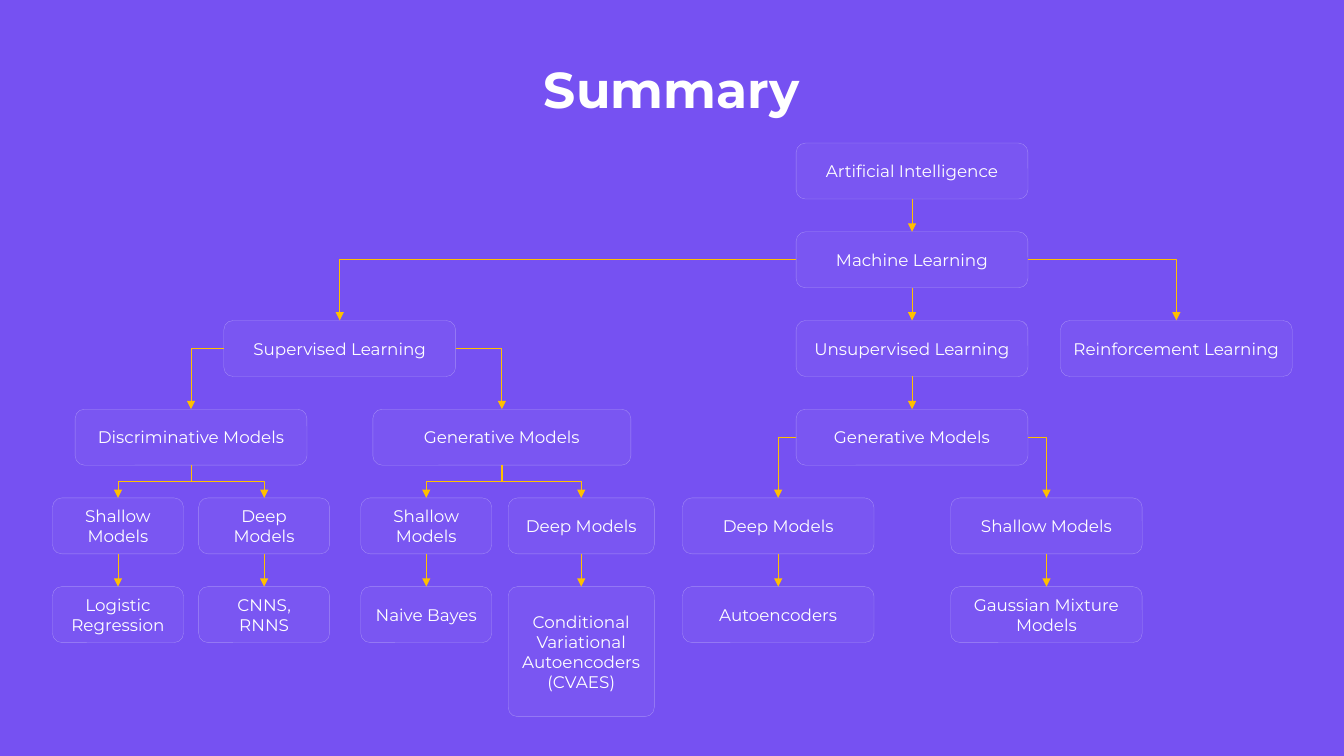
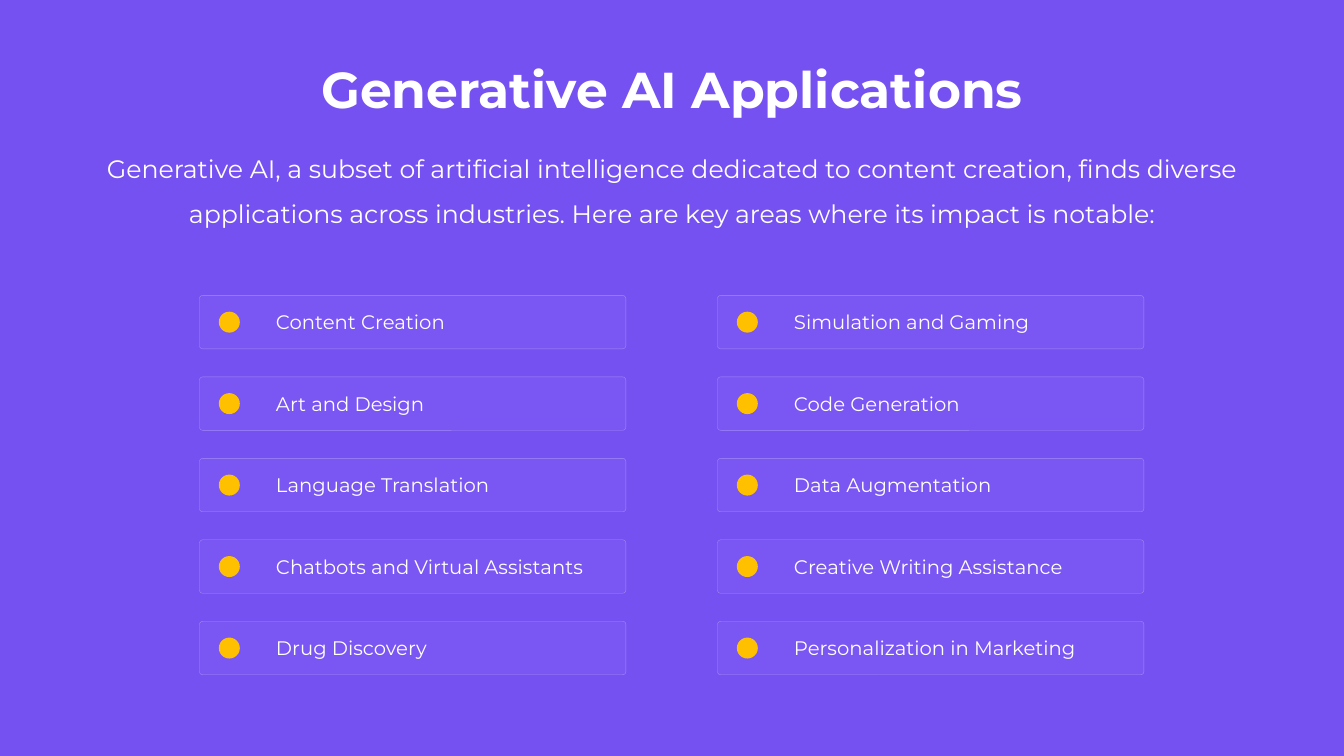
from dataclasses import dataclass

from pptx import Presentation
from pptx import util as u
from pptx.dml.color import RGBColor
from pptx.enum import shapes, text
from pptx.oxml.ns import qn
from lxml import etree


@dataclass(frozen=True)
class Theme:
    font: str = "Montserrat"
    back: RGBColor = RGBColor(0x76, 0x51, 0xF2)
    white: RGBColor = RGBColor(0xFF, 0xFF, 0xFF)
    accent: RGBColor = RGBColor(0xFF, 0xC0, 0x00)
    title: int = 36
    intro: int = 18
    item: int = 14
    node: int = 12
    fill_alpha: int = 3
    line_alpha: int = 33


@dataclass(frozen=True)
class Box:
    left: float
    top: float
    width: float
    height: float

    @property
    def center(self):
        return self.left + self.width / 2

    @property
    def middle(self):
        return self.top + self.height / 2

    @property
    def lengths(self):
        return [u.Pt(n) for n in (self.left, self.top, self.width, self.height)]


@dataclass(frozen=True)
class Node:
    label: str
    center: float
    width: float
    children: tuple = ()
    height: float = 40


THEME = Theme()
SLIDE_WIDTH, SLIDE_HEIGHT = 960, 540
TITLE_BOX = Box(0, 38.2, SLIDE_WIDTH, 51.1)
INTRO_BOX = Box(64, 95, 832.3, 69)
TREE_BOX = Box(37.5, 102.2, 886, 410)
LIST_BOX = Box(142.5, 211, 674.6, 271)
LEVEL_STEP = 63.36
TOP, LEFT, BOTTOM, RIGHT = range(4)  # connection sites of a rounded rectangle

WIDE, MEDIUM, NARROW = 165.6, 136.8, 93.6
TREE = Node("Artificial Intelligence", 614, WIDE, (
    Node("Machine Learning", 614, WIDE, (
        Node("Supervised Learning", 205.2, WIDE, (
            Node("Discriminative Models", 99, WIDE, (
                Node("Shallow Models", 46.8, NARROW, (
                    Node("Logistic Regression", 46.8, NARROW),)),
                Node("Deep Models", 151.2, NARROW, (
                    Node("CNNS, RNNS", 151.2, NARROW),)),
            )),
            Node("Generative Models", 321, 184.3, (
                Node("Shallow Models", 267, NARROW, (
                    Node("Naive Bayes", 267, NARROW),)),
                Node("Deep Models", 377.7, 104.4, (
                    Node("Conditional Variational Autoencoders (CVAES)",
                         377.7, 104.4, height=92.9),)),
            )),
        )),
        Node("Unsupervised Learning", 614, WIDE, (
            Node("Generative Models", 614, WIDE, (
                Node("Deep Models", 518.4, MEDIUM, (
                    Node("Autoencoders", 518.4, MEDIUM),)),
                Node("Shallow Models", 710, MEDIUM, (
                    Node("Gaussian Mixture Models", 710, MEDIUM),)),
            )),
        )),
        Node("Reinforcement Learning", 802.8, WIDE),
    )),
))

APPLICATIONS = (
    ("Content Creation", "Art and Design", "Language Translation",
     "Chatbots and Virtual Assistants", "Drug Discovery"),
    ("Simulation and Gaming", "Code Generation", "Data Augmentation",
     "Creative Writing Assistance", "Personalization in Marketing"),
)
INTRO = ("Generative AI, a subset of artificial intelligence dedicated to content "
         "creation, finds diverse applications across industries. Here are key areas "
         "where its impact is notable:")


def write(frame, words, size, align, anchor=text.MSO_ANCHOR.MIDDLE, bold=False):
    frame.text = words
    frame.word_wrap = True
    frame.auto_size = text.MSO_AUTO_SIZE.NONE
    frame.vertical_anchor = anchor
    para = frame.paragraphs[0]
    para.alignment = align
    for span in para.runs:
        span.font.name = THEME.font
        span.font.size = u.Pt(size)
        span.font.bold = bold
        span.font.color.rgb = THEME.white
    return para


def set_alpha(fill, percent):
    """Make a solid fill translucent, keeping the given percentage of opacity."""
    fill.solid()
    fill.fore_color.rgb = THEME.white
    return percent * 1000


def add_panel(page, box, words, size, align, radius):
    """Add a translucent rounded panel that carries its own text."""
    panel = page.shapes.add_shape(shapes.MSO_SHAPE.ROUNDED_RECTANGLE, *box.lengths)
    panel.shadow.inherit = False
    panel.adjustments[0] = radius / min(box.width, box.height)
    panel.line.width = u.Pt(0.25)
    for fill, alpha in ((panel.fill, THEME.fill_alpha),
                        (panel.line.fill, THEME.line_alpha)):
        fill.solid()
        fill.fore_color.rgb = THEME.white
    colors = panel.element.spPr.iter(qn("a:srgbClr"))
    for color, alpha in zip(colors, (THEME.fill_alpha, THEME.line_alpha)):
        etree.SubElement(color, qn("a:alpha")).set("val", str(alpha * 1000))
    write(panel.text_frame, words, size, align)
    return panel


def turn_fork(arrow, start, end):
    """Turn an elbow so that it leaves downwards and arrives downwards."""
    across, down = abs(end[0] - start[0]), end[1] - start[1]
    center, middle = (start[0] + end[0]) / 2, (start[1] + end[1]) / 2
    frame = Box(center - down / 2, middle - across / 2, down, across)
    arrow.left, arrow.top, arrow.width, arrow.height = frame.lengths
    rightward = end[0] > start[0]
    xfrm = arrow.element.spPr.find(qn("a:xfrm"))
    xfrm.set("rot", str((270 if rightward else 90) * 60000))
    xfrm.set("flipH", "1" if rightward else "0")


def add_arrow(page, parent, parent_box, child, child_box):
    """Go straight to a child below, fork within the parent's width, else leave sideways."""
    offset = child_box.center - parent_box.center
    straight = offset == 0
    sideways = abs(offset) > parent_box.width / 2
    end = (child_box.center, child_box.top)
    if sideways:
        site = RIGHT if offset > 0 else LEFT
        edge = parent_box.left + (parent_box.width if offset > 0 else 0)
        start = (edge, parent_box.middle)
    else:
        site = BOTTOM
        start = (parent_box.center, parent_box.top + parent_box.height)

    kind = shapes.MSO_CONNECTOR.STRAIGHT if straight else shapes.MSO_CONNECTOR.ELBOW
    arrow = page.shapes.add_connector(kind, *(u.Pt(n) for n in start + end))
    arrow.begin_connect(parent, site)
    arrow.end_connect(child, TOP)
    properties = arrow.element.spPr
    if sideways:
        properties.find(qn("a:prstGeom")).set("prst", "bentConnector2")
    elif not straight:
        turn_fork(arrow, start, end)

    arrow.line.color.rgb = THEME.accent
    arrow.line.width = u.Pt(0.5)
    etree.SubElement(properties.find(qn("a:ln")), qn("a:tailEnd")).set("type", "triangle")
    etree.SubElement(properties, qn("a:effectLst"))


def add_tree(page, box, node):
    """Place a node at the top of the box and its children one level below."""
    node_box = Box(box.left + node.center - node.width / 2, box.top,
                   node.width, node.height)
    panel = add_panel(page, node_box, node.label, THEME.node,
                      text.PP_ALIGN.CENTER, radius=6.67)
    below = Box(box.left, box.top + LEVEL_STEP, box.width, box.height - LEVEL_STEP)
    for child in node.children:
        child_panel, child_box = add_tree(page, below, child)
        add_arrow(page, panel, node_box, child_panel, child_box)
    return panel, node_box


def add_item(page, box, words):
    panel = add_panel(page, box, words, THEME.item, text.PP_ALIGN.LEFT, radius=2.3)
    panel.text_frame.margin_left = u.Pt(54)
    size = 15
    dot_box = Box(box.left + 13.8, box.middle - size / 2, size, size)
    dot = page.shapes.add_shape(shapes.MSO_SHAPE.OVAL, *dot_box.lengths)
    dot.shadow.inherit = False
    dot.fill.solid()
    dot.fill.fore_color.rgb = THEME.accent
    dot.line.fill.background()


def add_item_grid(page, box, columns, column_gap=65.4, row_gap=20):
    width = (box.width - column_gap * (len(columns) - 1)) / len(columns)
    for column, items in enumerate(columns):
        height = (box.height - row_gap * (len(items) - 1)) / len(items)
        left = box.left + column * (width + column_gap)
        for row, words in enumerate(items):
            top = box.top + row * (height + row_gap)
            add_item(page, Box(left, top, width, height), words)


def add_intro(page, box, words):
    intro = page.shapes.add_textbox(*box.lengths)
    para = write(intro.text_frame, words, THEME.intro, text.PP_ALIGN.CENTER,
                 text.MSO_ANCHOR.TOP)
    para.line_spacing = 1.5


def add_page(deck, heading):
    page = deck.slides.add_slide(deck.slide_layouts.get_by_name("Title Only"))
    title = page.shapes.title
    title.left, title.top, title.width, title.height = TITLE_BOX.lengths
    write(title.text_frame, heading, THEME.title, text.PP_ALIGN.CENTER,
          text.MSO_ANCHOR.TOP, bold=True)
    return page


def add_summary(deck):
    page = add_page(deck, "Summary")
    add_tree(page, TREE_BOX, TREE)


def add_applications(deck):
    page = add_page(deck, "Generative AI Applications")
    add_intro(page, INTRO_BOX, INTRO)
    add_item_grid(page, LIST_BOX, APPLICATIONS)


def main():
    deck = Presentation()
    deck.slide_width, deck.slide_height = u.Pt(SLIDE_WIDTH), u.Pt(SLIDE_HEIGHT)
    background = deck.slide_master.background.fill
    background.solid()
    background.fore_color.rgb = THEME.back
    add_summary(deck)
    add_applications(deck)
    deck.save("out.pptx")


if __name__ == "__main__":
    main()
